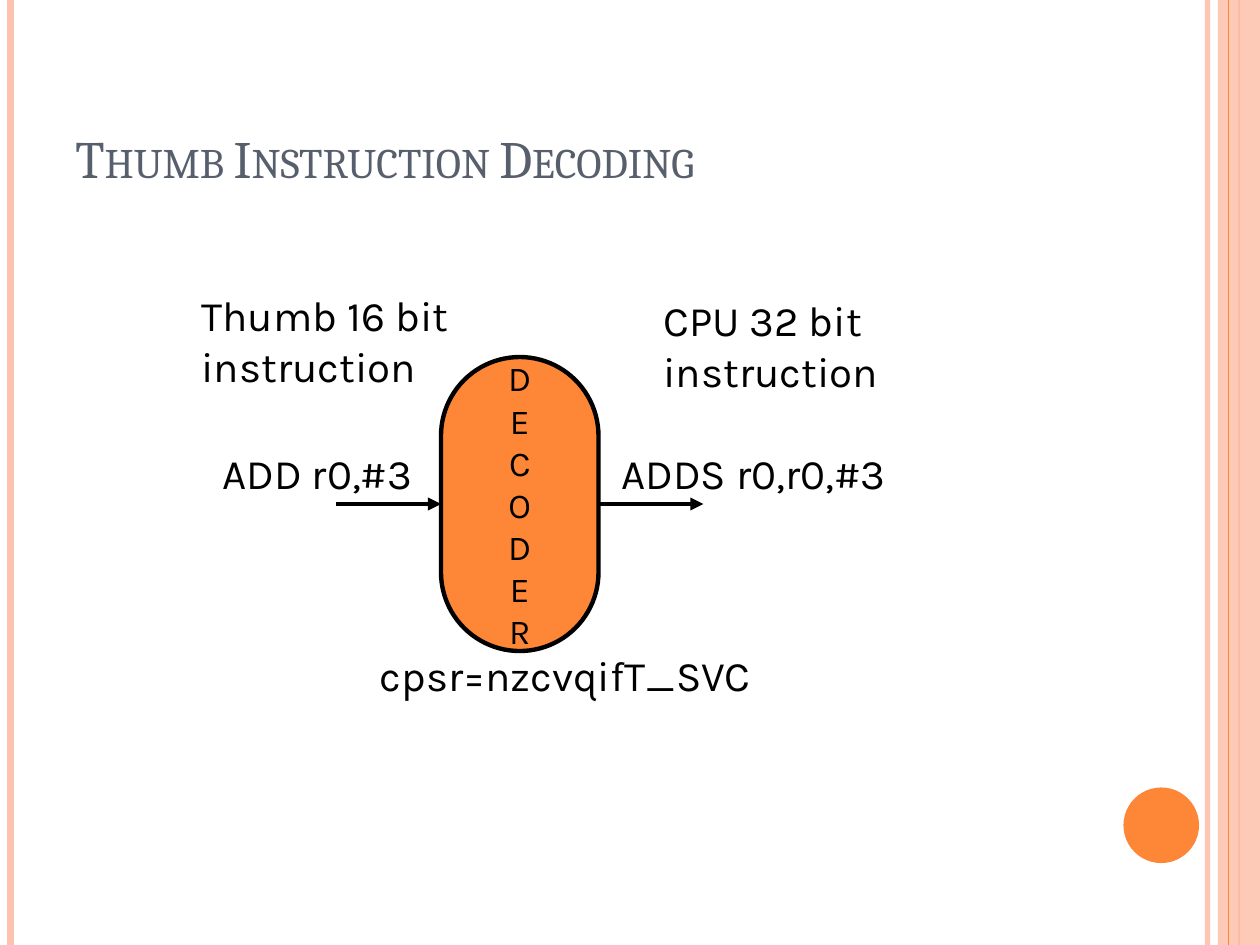
from dataclasses import dataclass

from pptx import Presentation
from pptx.dml.color import RGBColor
from pptx.enum.shapes import MSO_CONNECTOR, MSO_SHAPE
from pptx.enum.text import MSO_ANCHOR, PP_ALIGN
from pptx.oxml.ns import qn
from pptx.util import Inches, Pt
from lxml import etree

RECT, OVAL, ROUNDED = MSO_SHAPE.RECTANGLE, MSO_SHAPE.OVAL, MSO_SHAPE.ROUNDED_RECTANGLE
STRAIGHT = MSO_CONNECTOR.STRAIGHT
TOP, MIDDLE, BOTTOM = MSO_ANCHOR.TOP, MSO_ANCHOR.MIDDLE, MSO_ANCHOR.BOTTOM
LEFT, CENTER = PP_ALIGN.LEFT, PP_ALIGN.CENTER
LEFT_SIDE, RIGHT_SIDE = 1, 3
COLUMNS, ROWS = 120, 90


@dataclass(frozen=True)
class Theme:
    orange: str = "FE8637"
    peach: str = "FEC3AE"
    slate: str = "575F6D"
    black: str = "000000"
    heading_font: str = "Cambria"
    body_font: str = "Karla"
    title_size: int = 30
    label_size: int = 24
    letter_size: int = 20
    outline: float = 2.5


class SlideBuilder:
    """Draws on one slide; lengths are columns and rows of a 120 by 90 grid."""

    def __init__(self, deck, theme):
        self.theme = theme
        self.page = deck.slides.add_slide(deck.slide_layouts[6])
        self.column = deck.slide_width / COLUMNS
        self.row = deck.slide_height / ROWS

    def cells(self, *lengths):
        """Turn alternating columns and rows into slide lengths."""
        units = (self.column, self.row)
        return [round(length * units[i % 2]) for i, length in enumerate(lengths)]

    def paint(self, fill, color, opacity=100):
        fill.solid()
        fill.fore_color.rgb = RGBColor.from_string(color)
        if opacity < 100:
            tint = fill._xPr.find(qn("a:solidFill"))[0]
            etree.SubElement(tint, qn("a:alpha")).set("val", str(opacity * 1000))

    def set_text(self, box, lines, size, font=None, color=None, align=LEFT,
                 anchor=TOP, wrap=True, small_caps=False):
        frame = box.text_frame
        frame.word_wrap = wrap
        frame.vertical_anchor = anchor
        for i, line in enumerate(lines):
            para = frame.paragraphs[0] if i == 0 else frame.add_paragraph()
            para.alignment = align
            span = para.add_run()
            span.text = line
            style = {"size": Pt(size), "name": font or self.theme.body_font}
            for name, value in style.items():
                setattr(span.font, name, value)
            span.font.color.rgb = RGBColor.from_string(color or self.theme.black)
            if small_caps:
                span._r.get_or_add_rPr().set("cap", "small")

    def label(self, place, words, size, **style):
        box = self.page.shapes.add_textbox(*self.cells(*place))
        self.set_text(box, [words], size, **style)

    def shape(self, kind, place, color, opacity=100, outline=None):
        shape = self.page.shapes.add_shape(kind, *self.cells(*place))
        shape.shadow.inherit = False
        self.paint(shape.fill, color, opacity)
        if outline:
            self.paint(shape.line.fill, outline)
            shape.line.width = Pt(self.theme.outline)
        else:
            shape.line.fill.background()
        return shape

    def line(self, start, end, color, width, opacity=100):
        line = self.page.shapes.add_connector(STRAIGHT, *self.cells(*start, *end))
        self.paint(line.line.fill, color, opacity)
        line.line.width = Pt(width)
        etree.SubElement(line._element.spPr, qn("a:effectLst"))
        return line

    def stripe(self, column, color, width, opacity=100):
        self.line((column, 0), (column, ROWS), color, width, opacity)

    def arrow(self, start, end):
        arrow = self.line(start, end, self.theme.black, self.theme.outline)
        outline = arrow._element.spPr.find(qn("a:ln"))
        etree.SubElement(outline, qn("a:tailEnd")).set("type", "triangle")
        return arrow


def main():
    deck = Presentation()
    deck.slide_width, deck.slide_height = Inches(10), Inches(7.5)
    theme = Theme()
    slide = SlideBuilder(deck, theme)

    slide.stripe(115, theme.peach, 3, opacity=93)
    slide.stripe(1, theme.peach, 4.5)
    slide.stripe(118, theme.orange, 1.5)
    slide.shape(RECT, (116, 0, 4, ROWS), theme.peach, opacity=87)
    slide.stripe(117, theme.orange, 0.75)
    slide.shape(OVAL, (107, 75, 7.2, 7.2), theme.orange)

    slide.label((6, 3.6, 98, 15), "Thumb Instruction Decoding", theme.title_size,
                font=theme.heading_font, color=theme.slate, anchor=BOTTOM, small_caps=True)

    decoder = slide.shape(ROUNDED, (42, 34, 15, 28), theme.orange, outline=theme.black)
    decoder.adjustments[0] = 0.5
    slide.set_text(decoder, "DECODER", theme.letter_size, align=CENTER, anchor=MIDDLE, wrap=False)

    slide.arrow((32, 48), (42, 48)).end_connect(decoder, LEFT_SIDE)
    slide.arrow((57, 48), (67, 48)).begin_connect(decoder, RIGHT_SIDE)

    labels = [
        ((20, 42, 26, 6), "ADD r0,#3"),
        ((58, 42, 31, 6), "ADDS r0,r0,#3"),
        ((18, 27, 34, 10.8), "Thumb 16 bit instruction"),
        ((62, 27.5, 34, 10.8), "CPU 32 bit instruction"),
        ((35, 61.3, 43, 6), "cpsr=nzcvqifT_SVC"),
    ]
    for place, words in labels:
        slide.label(place, words, theme.label_size)

    deck.save("out.pptx")


if __name__ == "__main__":
    main()
